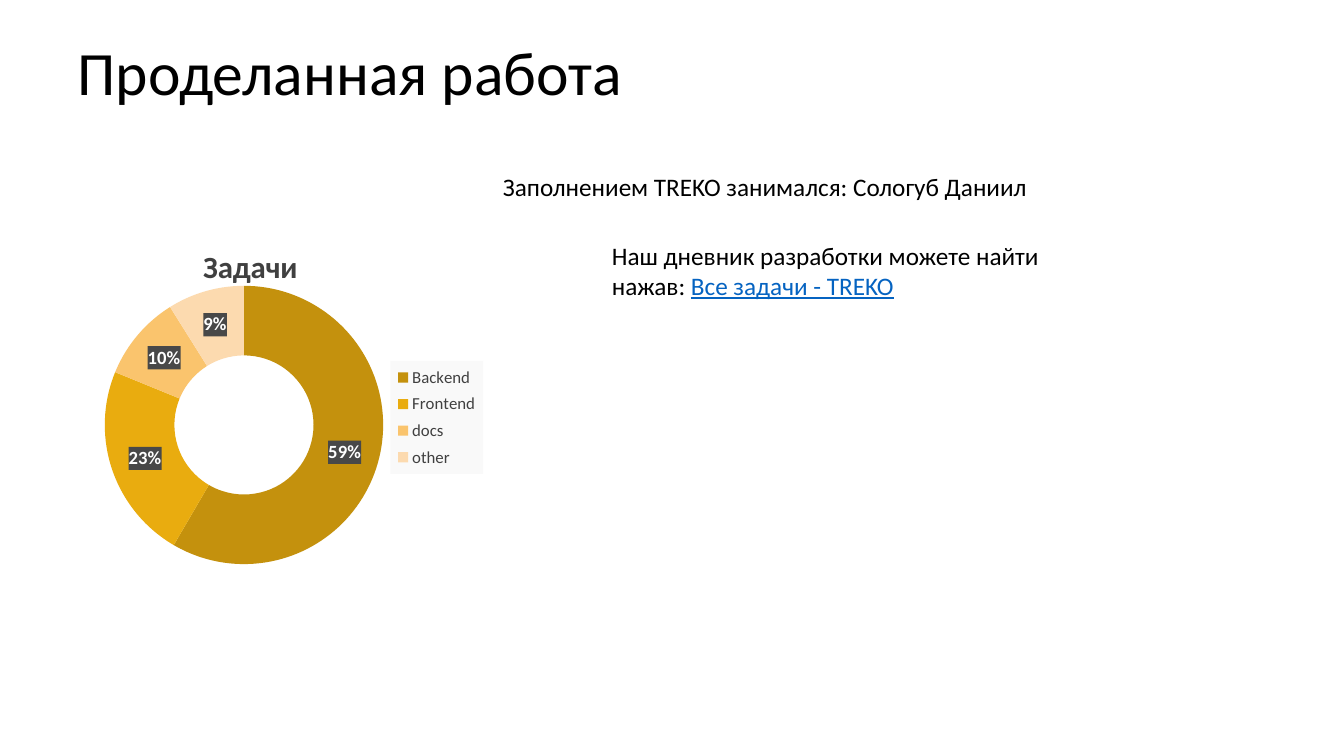
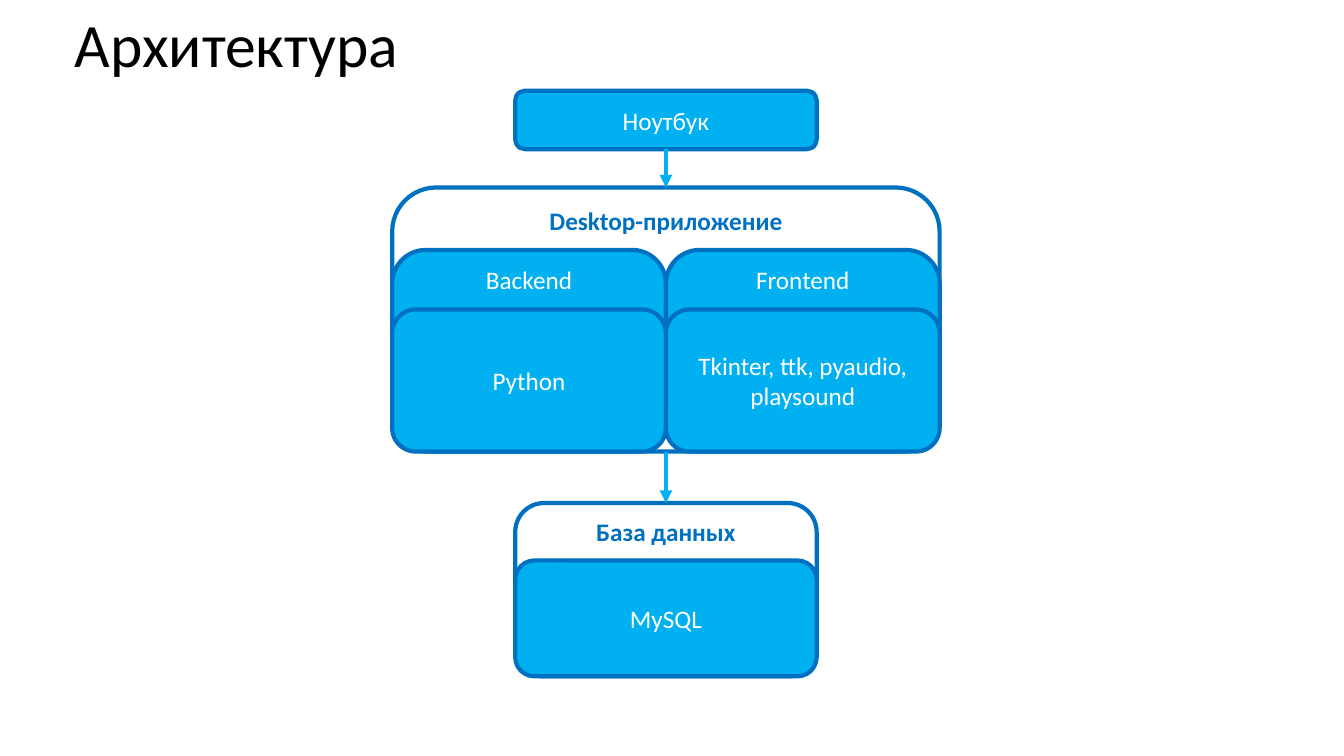
from lxml import etree
from pptx import Presentation
from pptx.chart.data import CategoryChartData
from pptx.dml.color import RGBColor
from pptx.enum.chart import XL_CHART_TYPE as CHART, XL_LEGEND_POSITION as LEGEND
from pptx.enum.shapes import MSO_CONNECTOR as LINE, MSO_SHAPE as SHAPE
from pptx.enum.text import MSO_ANCHOR as ANCHOR, MSO_AUTO_SIZE as FIT, PP_ALIGN as ALIGN
from pptx.oxml import parse_xml
from pptx.oxml.ns import nsdecls, qn
from pptx.util import Inches, Pt

COLORS = {"text": "000000", "white": "FFFFFF", "link": "0563C1", "grey": "404040",
          "label": "484848", "legend": "F9F9F9", "sky": "00B0F0", "blue": "0070C0"}
RGB = {name: RGBColor.from_string(value) for name, value in COLORS.items()}


def style_font(font, size, color, **attrs):
    values = {"name": "Calibri", "size": Pt(size), "bold": False, **attrs}
    for name, value in values.items():
        setattr(font, name, value)
    font.color.rgb = RGB[color]


def place(part, **box):
    """Give a chart part a manual layout, in fractions of the chart area."""
    old = part.find(qn("c:layout"))
    if old is not None:
        part.remove(old)
    layout = parse_xml(f"<c:layout {nsdecls('c')}><c:manualLayout/></c:layout>")
    settings = {"xMode": "edge", "yMode": "edge", **box}
    if "w" in box and part.tag == qn("c:plotArea"):
        settings = {"layoutTarget": "inner", **settings}
    for name, value in settings.items():
        etree.SubElement(layout[0], qn(f"c:{name}")).set("val", str(value))
    overlay = part.find(qn("c:overlay"))
    if overlay is None:
        part.insert(0, layout)
    else:
        overlay.addprevious(layout)


prs = Presentation()
prs.slide_width, prs.slide_height = Inches(13.33), Inches(7.5)

# Slides and their titles
slides = []
for text, left, top in [("Проделанная работа", 0.67, 0.32), ("Архитектура", 0.64, 0.05)]:
    s = prs.slides.add_slide(prs.slide_layouts[5])
    title = s.shapes.title
    title.left, title.top = Inches(left), Inches(top)
    title.width, title.height = Inches(11.5), Inches(0.85)
    tf = title.text_frame
    tf.text = text
    tf.auto_size = FIT.NONE
    tf.vertical_anchor = ANCHOR.MIDDLE
    p = tf.paragraphs[0]
    p.alignment, p.line_spacing = ALIGN.LEFT, 0.9
    style_font(p.runs[0].font, 44, "text")
    slides.append(s)
work, architecture = slides

# Work done: task shares
data = CategoryChartData()
data.categories = ["Backend", "Frontend", "docs", "other"]
data.add_series("Задачи", [59, 23, 10, 9])
chart = work.shapes.add_chart(CHART.DOUGHNUT, Inches(-0.66), Inches(2.01),
                              Inches(7.08), Inches(3.74), data).chart
style_font(chart.font, 10, "text")

chart.has_title = True
tf = chart.chart_title.text_frame
tf.text = "Задачи"
style_font(tf.paragraphs[0].runs[0].font, 22, "grey", bold=True)

chart.has_legend = True
legend = chart.legend
legend.position = LEGEND.RIGHT
legend.include_in_layout = False
style_font(legend.font, 12, "grey")

plot = chart.plots[0]
plot.vary_by_categories = True
for i, color in enumerate(["C4910D", "E9AC0F", "FAC46D", "FCDAAF"]):
    fmt = plot.series[0].points[i].format
    fmt.fill.solid()
    fmt.fill.fore_color.rgb = RGBColor.from_string(color)
    fmt.line.fill.background()

plot.has_data_labels = True
labels = plot.data_labels
labels.show_value, labels.show_percentage = True, False
labels.number_format, labels.number_format_is_linked = '0"%"', False
style_font(labels.font, 13.3, "white", bold=True)

for part, color in [(legend, "legend"), (labels, "label")]:
    part._element.find(qn("c:txPr")).addprevious(parse_xml(
        f'<c:spPr {nsdecls("c", "a")}><a:solidFill><a:srgbClr val="{COLORS[color]}"/>'
        "</a:solidFill></c:spPr>"))
place(chart._chartSpace.chart.plotArea, x=0.24, y=0.22, w=0.39, h=0.74)
place(legend._element, x=0.64, y=0.42, w=0.13, h=0.3)
place(chart.chart_title._element, x=0.37, y=0.1)

# Work done: notes beside the chart
notes = [
    (5.97, 2.33, 4.45, 0.71, [("Наш дневник разработки можете найти нажав: ", "text", False),
                              ("Все задачи - TREKO", "link", True)]),
    (4.89, 1.65, 5.65, 0.4, [("Заполнением TREKO занимался: Сологуб Даниил", "text", False)]),
]
for left, top, width, height, runs in notes:
    tf = work.shapes.add_textbox(Inches(left), Inches(top),
                                 Inches(width), Inches(height)).text_frame
    tf.word_wrap = True
    tf.auto_size = FIT.SHAPE_TO_FIT_TEXT
    for text, color, underline in runs:
        r = tf.paragraphs[0].add_run()
        r.text = text
        style_font(r.font, 18, color, underline=underline)

# Architecture: frames are white with a bold caption, the rest are filled
app_left, app_width, app_bottom = 3.89, 5.43, 4.48
half = app_width / 2
middle = app_left + half
node_left, node_width, db_bottom = 5.11, 2.99, 6.71
boxes = [
    # text, left, top, width, bottom, is frame, anchor
    ("Ноутбук", node_left, 0.9, node_width, 1.48, False, ANCHOR.MIDDLE),
    ("Desktop-приложение", app_left, 1.86, app_width, app_bottom, True, ANCHOR.TOP),
    ("Backend", app_left, 2.48, half, app_bottom, False, ANCHOR.TOP),
    ("Frontend", middle, 2.48, half, app_bottom, False, ANCHOR.TOP),
    ("База данных", node_left, 4.99, node_width, db_bottom, True, ANCHOR.TOP),
    ("MySQL", node_left, 5.56, node_width, db_bottom, False, ANCHOR.MIDDLE),
    ("Python", app_left, 3.07, half, app_bottom, False, ANCHOR.MIDDLE),
    ("Tkinter, ttk, pyaudio, playsound", middle, 3.07, half, app_bottom, False, ANCHOR.MIDDLE),
]
nodes = {}
for text, left, top, width, bottom, is_frame, anchor in boxes:
    sp = architecture.shapes.add_shape(SHAPE.ROUNDED_RECTANGLE, Inches(left), Inches(top),
                                       Inches(width), Inches(bottom - top))
    sp.shadow.inherit = False
    sp.fill.solid()
    sp.fill.fore_color.rgb = RGB["white" if is_frame else "sky"]
    sp.line.color.rgb = RGB["blue"]
    sp.line.width = Pt(3)
    tf = sp.text_frame
    tf.text = text
    tf.word_wrap = True
    tf.vertical_anchor = anchor
    p = tf.paragraphs[0]
    p.alignment = ALIGN.CENTER
    style_font(p.runs[0].font, 18, "blue" if is_frame else "white", bold=is_frame)
    nodes[text] = sp

for start, end in [("Ноутбук", "Desktop-приложение"), ("Desktop-приложение", "База данных")]:
    arrow = architecture.shapes.add_connector(LINE.STRAIGHT, 0, 0, 0, 0)
    arrow.begin_connect(nodes[start], 2)
    arrow.end_connect(nodes[end], 0)
    arrow.line.color.rgb = RGB["sky"]
    arrow.line.width = Pt(3)
    etree.SubElement(arrow.line._get_or_add_ln(), qn("a:tailEnd")).set("type", "triangle")
    etree.SubElement(arrow._element.spPr, qn("a:effectLst"))

prs.save("out.pptx")
